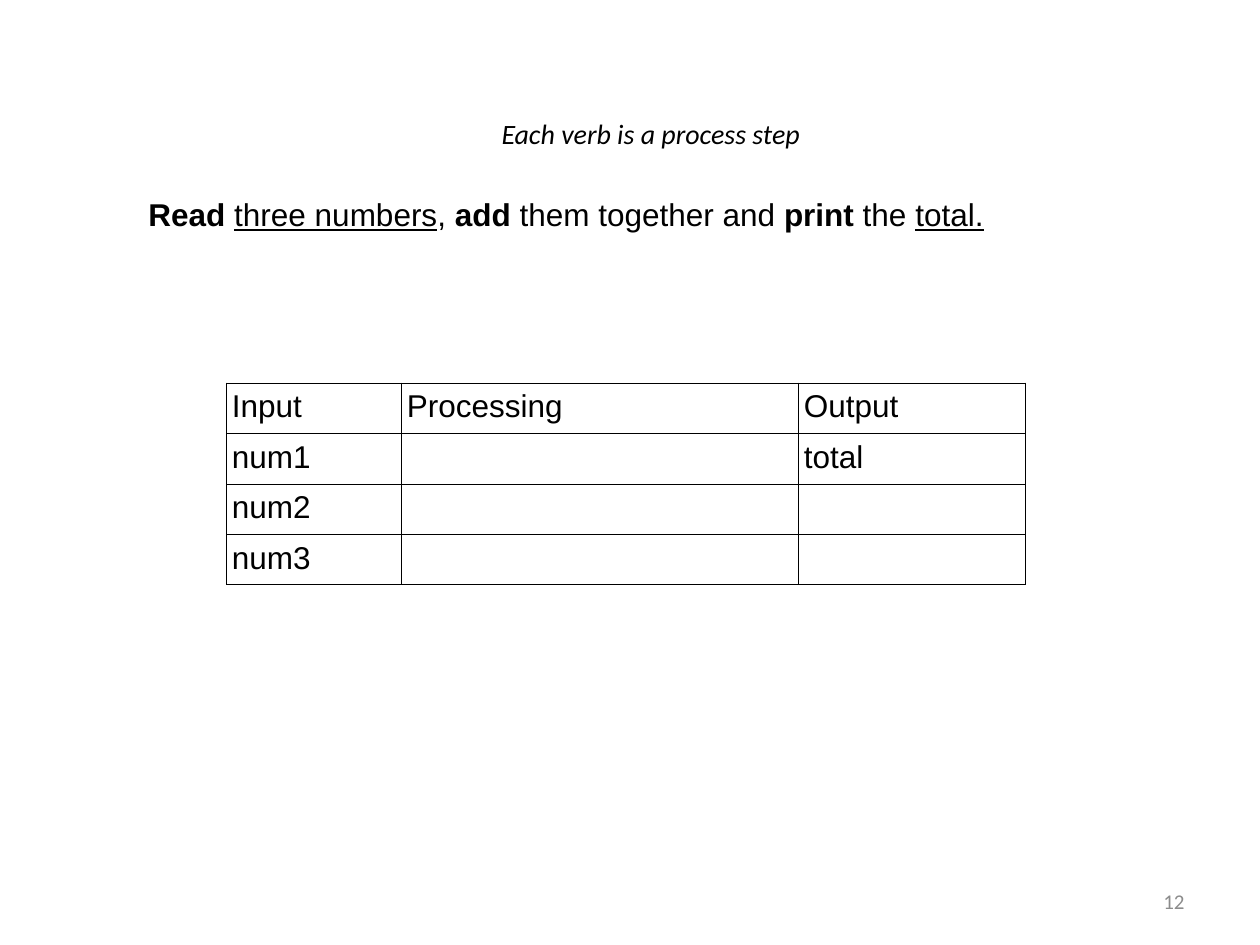
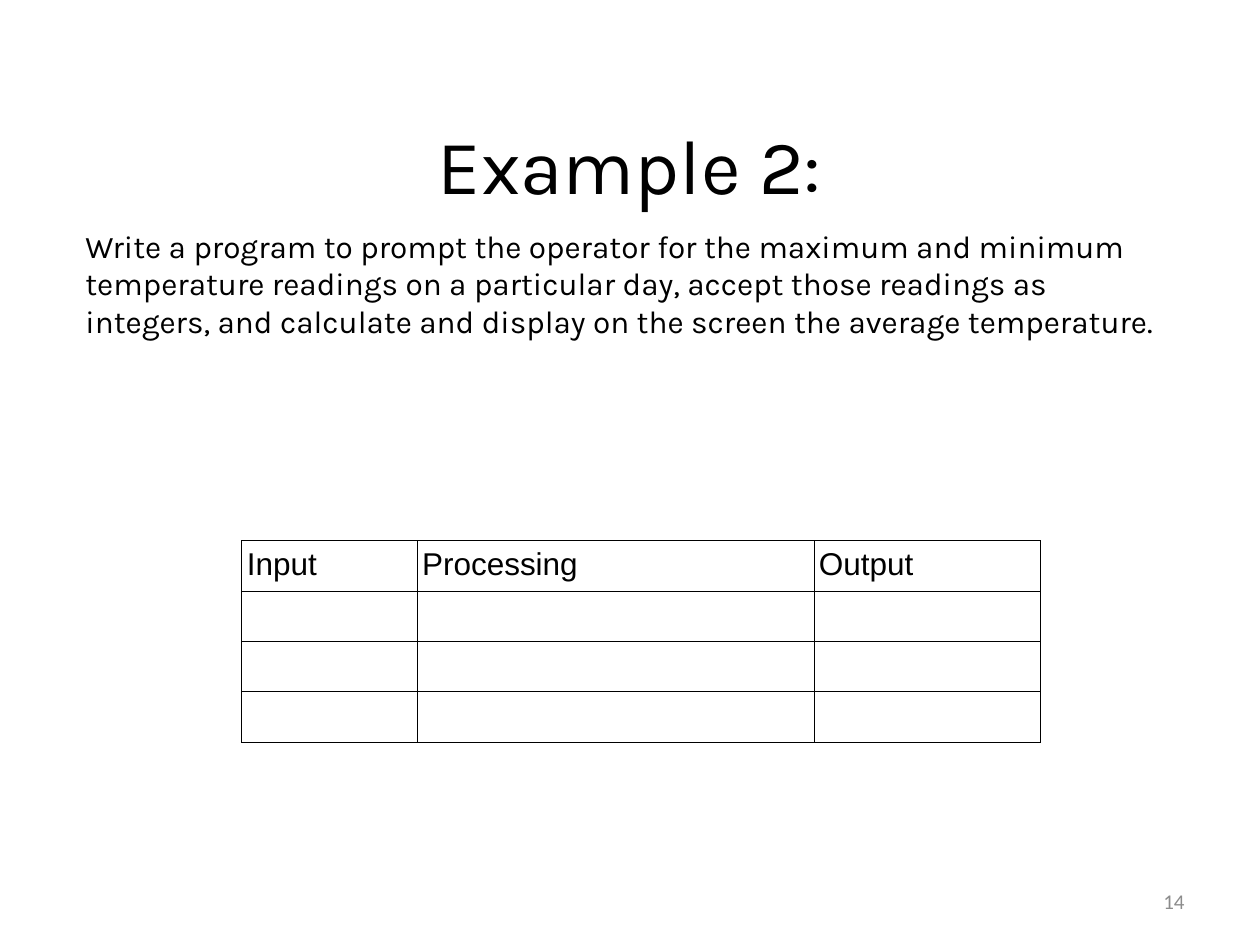
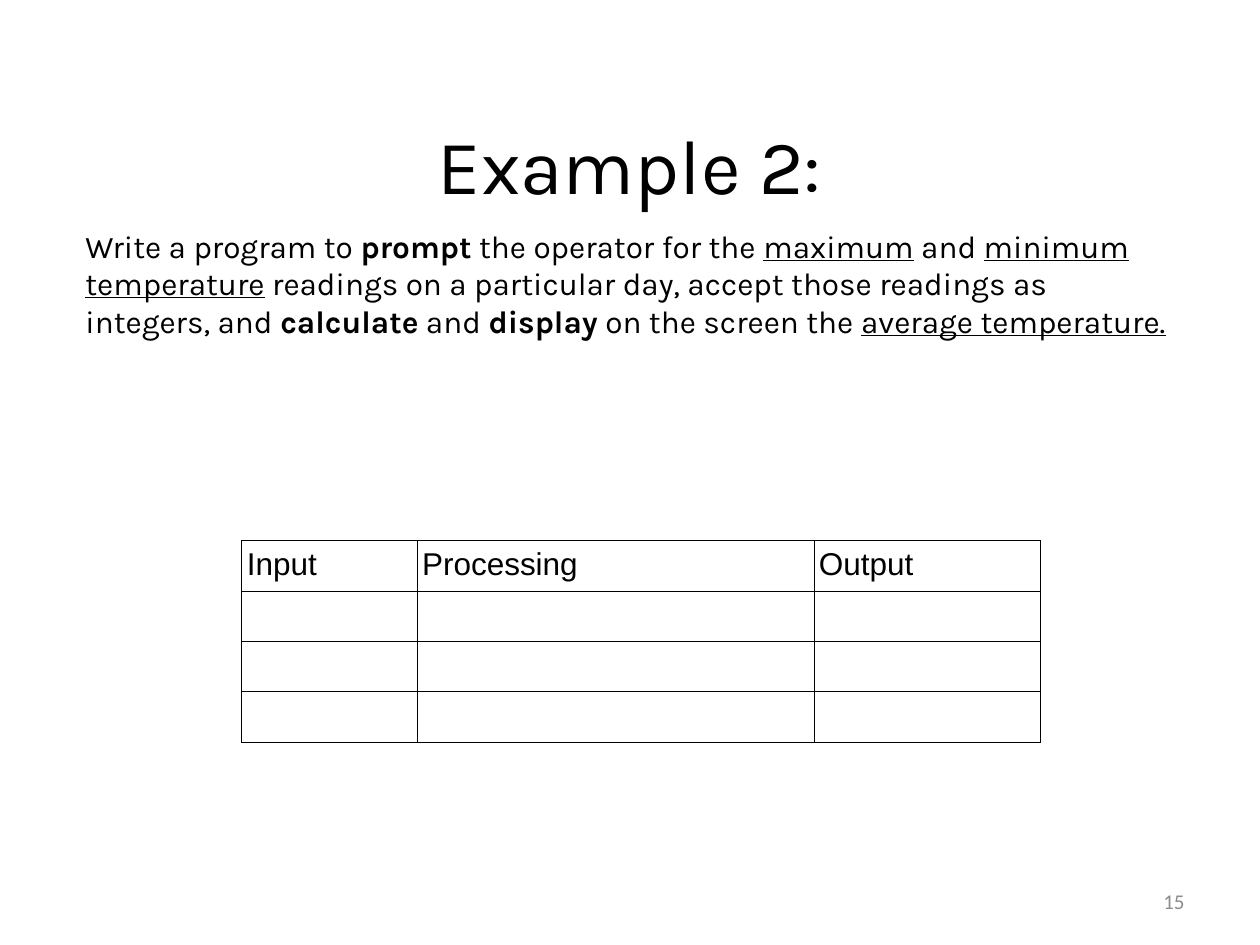
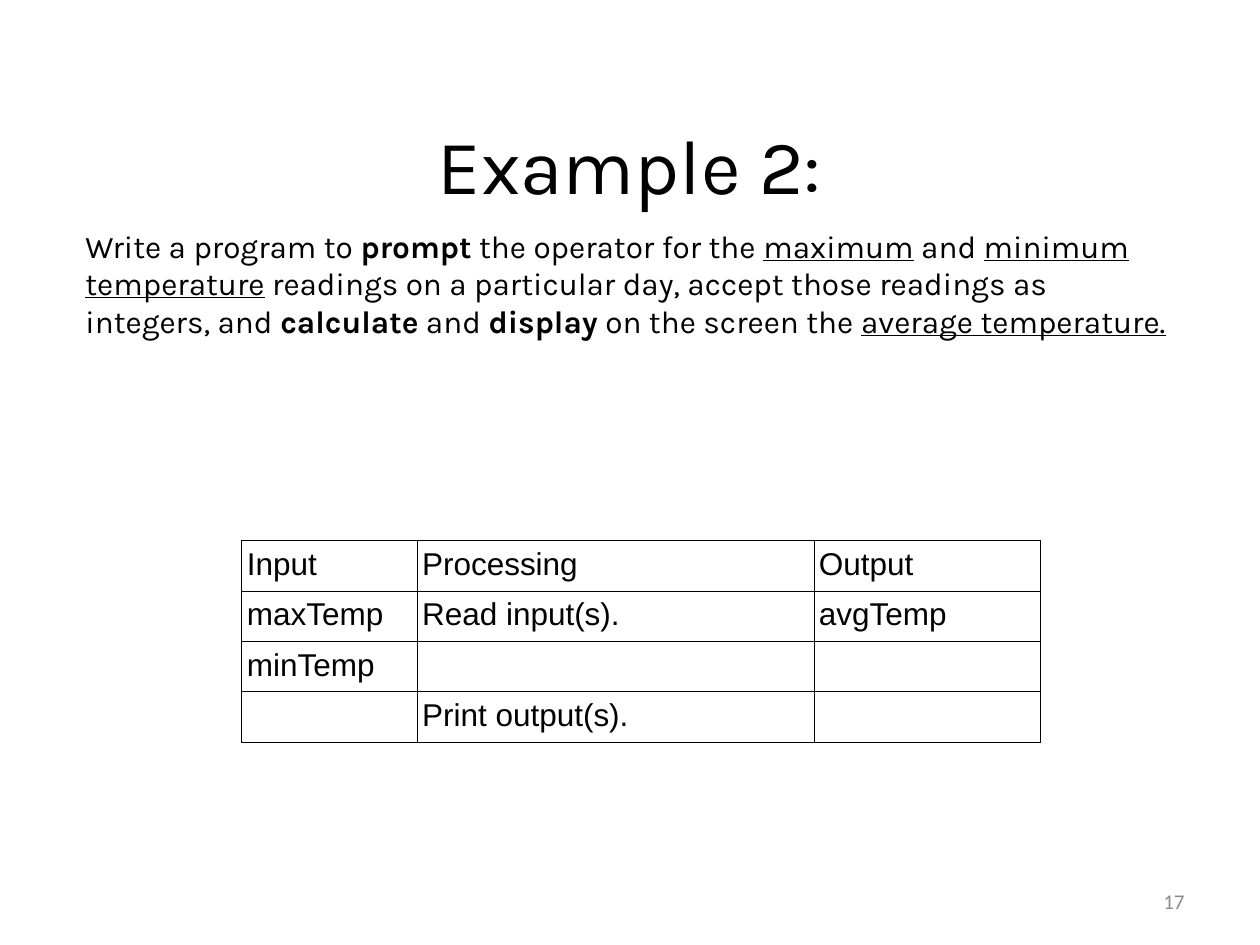
from lxml.etree import SubElement
from pptx import Presentation
from pptx.dml.color import RGBColor as RGB
from pptx.enum.text import MSO_ANCHOR as ANCHOR, PP_ALIGN as ALIGN
from pptx.oxml.ns import qn
from pptx.util import Inches, Pt

COLORS = {"text": "000000", "number": "8C8C8C", "border": "000000"}
HEADER = ["Input", "Processing", "Output"]
COL_WIDTHS = [1.39, 3.15, 1.8]
ROW_HEIGHT = 0.4


def add_text(s, box, runs, font, size, color="text", align=ALIGN.LEFT, anchor=ANCHOR.TOP):
    tf = s.shapes.add_textbox(*[Inches(v) for v in box]).text_frame
    tf.word_wrap = True
    tf.vertical_anchor = anchor
    p = tf.paragraphs[0]
    p.alignment = align
    for text, style in runs:
        r = p.add_run()
        r.text = text
        r.font.name = font
        r.font.size = Pt(size)
        r.font.color.rgb = RGB.from_string(COLORS[color])
        if style:
            setattr(r.font, style, True)
    return p


def add_ipo_table(s, left, top, rows):
    rows = [HEADER] + rows
    table = s.shapes.add_table(len(rows), len(HEADER), Inches(left), Inches(top),
                               Inches(sum(COL_WIDTHS)), Inches(ROW_HEIGHT * len(rows))).table
    table.first_row = False
    table.horz_banding = False
    for col, width in zip(table.columns, COL_WIDTHS):
        col.width = Inches(width)
    for i, row in enumerate(rows):
        table.rows[i].height = Inches(ROW_HEIGHT)
        for j, text in enumerate(row):
            cell = table.cell(i, j)
            cell.margin_left = cell.margin_right = Inches(0.04)
            cell.margin_top = cell.margin_bottom = Inches(0.05)
            cell.text_frame.text = text
            font = cell.text_frame.paragraphs[0].font
            font.name = "Arial"
            font.size = Pt(18)
            font.color.rgb = RGB.from_string(COLORS["text"])
            tc_pr = cell._tc.get_or_add_tcPr()
            for side in ("lnL", "lnR", "lnT", "lnB"):
                ln = SubElement(tc_pr, qn(f"a:{side}"), w=str(Pt(0.57)))
                fill = SubElement(ln, qn("a:solidFill"))
                SubElement(fill, qn("a:srgbClr"), val=COLORS["border"])
            cell.fill.background()


prs = Presentation()
prs.slide_width = Inches(10)
prs.slide_height = Inches(7.5)

SUM_TASK = [
    ("Read ", "bold"), ("three numbers", "underline"), (", ", None), ("add", "bold"),
    (" them together and ", None), ("print", "bold"), (" the ", None), ("total.", "underline"),
]
MARKED_TASK = [
    ("Write a program to ", None), ("prompt", "bold"), (" the operator for the ", None),
    ("maximum", "underline"), (" and ", None), ("minimum temperature", "underline"),
    (" readings on a particular day, accept those readings as integers, and ", None),
    ("calculate", "bold"), (" and ", None), ("display", "bold"),
    (" on the screen the ", None), ("average temperature.", "underline"),
]
PLAIN_TASK = [("".join(text for text, style in MARKED_TASK), None)]
EMPTY_ROWS = [[""] * 3] * 3
SUM_ROWS = [["num1", "", "total"], ["num2", "", ""], ["num3", "", ""]]
TEMP_ROWS = [["maxTemp", "Read input(s).", "avgTemp"], ["minTemp", "", ""],
             ["", "Print output(s).", ""]]

slides = [
    (12, SUM_TASK, SUM_ROWS),
    (14, PLAIN_TASK, EMPTY_ROWS),
    (15, MARKED_TASK, EMPTY_ROWS),
    (17, MARKED_TASK, TEMP_ROWS),
]
for number, task, rows in slides:
    s = prs.slides.add_slide(prs.slide_layouts[6])
    add_text(s, (7.17, 6.95, 2.33, 0.4), [(str(number), None)], "Calibri", 12,
             "number", ALIGN.RIGHT, ANCHOR.MIDDLE)
    if task is SUM_TASK:
        p = add_text(s, (0.75, 0.67, 8.83, 0.83), [("Each verb is a process step", "italic")],
                     "Calibri", 16, align=ALIGN.CENTER, anchor=ANCHOR.MIDDLE)
        p.line_spacing = 0.8
        add_text(s, (1.08, 1.5, 8.11, 0.87), task, "Arial", 18)
        add_ipo_table(s, 1.8, 3.04, rows)
    else:
        add_text(s, (0.75, 0.67, 8.5, 1.25), [("Example 2:", None)], "Karla", 44,
                 align=ALIGN.CENTER, anchor=ANCHOR.MIDDLE)
        add_text(s, (0.58, 1.75, 8.83, 1.6), task, "Karla", 18)
        add_ipo_table(s, 1.92, 4.29, rows)

prs.save("out.pptx")
